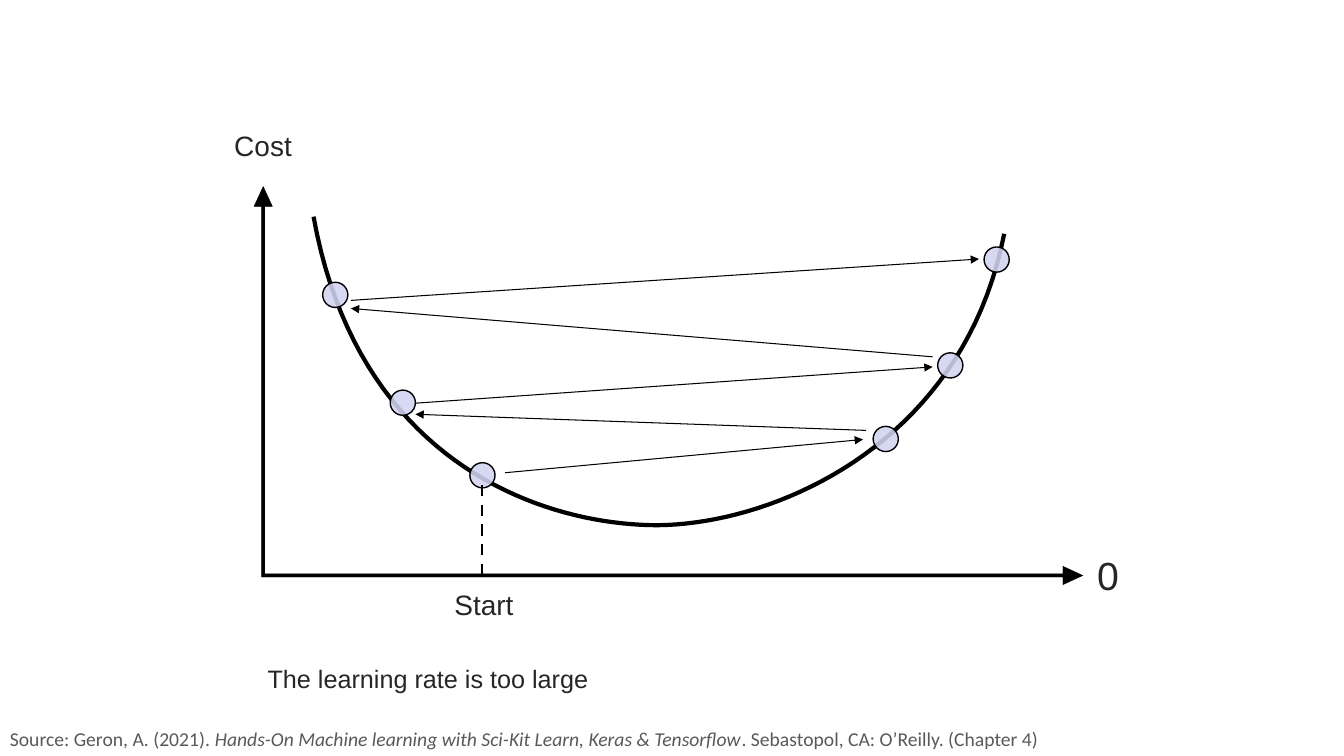
import lxml.etree
import pptx
import pptx.dml.color
import pptx.enum.dml
import pptx.enum.shapes
import pptx.enum.text
import pptx.oxml.ns
import pptx.util

PX = 9144  # EMU in one px, 100 px to the inch
WIDE, HIGH = 1333, 750
HEX = {"ink": "000000", "text": "262626", "source": "595959", "bead": "D2D3F1"}
SHAPE = pptx.enum.shapes.MSO_SHAPE
ALIGN = pptx.enum.text.PP_ALIGN
BEAD = 25
BEADS = [(68, 95), (135, 202), (214, 274), (724, 60), (678, 165), (614, 238)]
CURVE = [(59, 30), (102, 269), (278, 333), (392, 336),
         (506, 339), (702, 262), (744, 47)]
STEPS = [((249, 284), (604, 251)), ((607, 242), (160, 226)),
         ((160, 215), (673, 179)), ((673, 169), (96, 121)),
         ((96, 113), (719, 72))]
LABELS = [("Cost", 20, (-81, -59, 180, 71)),
          ("Start", 20, (138, 397, 180, 71)),
          ("The learning rate is too large", 18, (-61, 472, 467, 40)),
          ("0", 28, (757, 362, 180, 71))]


def emu(*sizes):
    return [round(size * PX) for size in sizes]


def rgb(name):
    return pptx.dml.color.RGBColor.from_string(HEX[name])


def add_tag(parent, name, **attrs):
    lxml.etree.SubElement(parent, pptx.oxml.ns.qn(name), attrs)


def set_line(shape, width):
    shape.line.color.rgb = rgb("ink")
    shape.line.width = pptx.util.Pt(width)


def add_form(slide, kind, box, fill, width):
    form = slide.shapes.add_shape(kind, *emu(*box))
    form.shadow.inherit = False
    form.fill.solid()
    form.fill.fore_color.rgb = rgb(fill)
    set_line(form, width)
    return form


def add_line(slide, start, end, width):
    kind = pptx.enum.shapes.MSO_CONNECTOR.STRAIGHT
    line = slide.shapes.add_connector(kind, *emu(*start, *end))
    set_line(line, width)
    add_tag(line.element.spPr, "a:effectLst")
    return line


def add_text(slide, box, runs, font, size, color, align):
    """Place one paragraph of (text, italic) runs."""
    frame = slide.shapes.add_textbox(*emu(*box)).text_frame
    frame.word_wrap = True
    para = frame.paragraphs[0]
    para.alignment = align
    para.font.name = font
    para.font.size = pptx.util.Pt(size)
    para.font.color.rgb = rgb(color)
    for text, slant in runs:
        run = para.add_run()
        run.text = text
        if slant:
            run.font.italic = True
    return para


def bezier(points, count=40):
    """Sample a chain of cubic curves, in EMU."""
    out = [tuple(emu(*points[0]))]
    for first in range(0, len(points) - 1, 3):
        part = points[first:first + 4]
        for step in range(1, count + 1):
            t = step / count
            u = 1 - t
            rates = (u ** 3, 3 * u * u * t, 3 * u * t * t, t ** 3)
            out.append(tuple(emu(*(sum(r * p[axis] for r, p in zip(rates, part))
                                   for axis in (0, 1)))))
    return out


def draw_cost(slide, left, top, wide, high):
    """Draw the cost curve and its steps; the box spans the axes."""
    def at(point):
        return left + point[0], top + point[1]

    axes = add_form(slide, SHAPE.LEFT_UP_ARROW, (left, top, wide, high), "ink", 0.25)
    axes.element.spPr.xfrm.set("flipH", "1")
    for spot, value in enumerate((0.008, 0.023, 0.05)):
        axes.adjustments[spot] = value

    points = bezier([at(point) for point in CURVE])
    pen = slide.shapes.build_freeform(*points[0], scale=1.0)
    pen.add_line_segments(points[1:], close=False)
    curve = pen.convert_to_shape()
    curve.shadow.inherit = False
    curve.fill.background()
    set_line(curve, 3)

    for spot in BEADS:
        bead = add_form(slide, SHAPE.OVAL, (*at(spot), BEAD, BEAD), "bead", 1)
        tint = bead.element.spPr.find(".//" + pptx.oxml.ns.qn("a:srgbClr"))
        add_tag(tint, "a:alpha", val="88000")

    drop = add_line(slide, at((226, 296)), at((226, 384)), 2)
    drop.line.dash_style = pptx.enum.dml.MSO_LINE.DASH

    for text, size, (x, y, w, h) in LABELS:
        para = add_text(slide, (*at((x, y)), w, h), [(text, False)],
                        "Arial", size, "text", ALIGN.CENTER)
        para.line_spacing = 0.9

    for start, end in STEPS:
        arrow = add_line(slide, at(start), at(end), 0.75)
        edge = arrow.element.spPr.find(pptx.oxml.ns.qn("a:ln"))
        add_tag(edge, "a:tailEnd", type="triangle")


def draw_source(slide, *box):
    runs = [("Source: Geron, A. (2021). ", False),
            ("Hands-On Machine learning with Sci-Kit Learn, Keras & Tensorflow", True),
            (". Sebastopol, CA: O’Reilly. (Chapter 4)", False)]
    add_text(slide, box, runs, "Calibri", 14, "source", ALIGN.LEFT)


def main():
    deck = pptx.Presentation()
    deck.slide_width, deck.slide_height = emu(WIDE, HIGH)
    slide = deck.slides.add_slide(deck.slide_layouts[6])
    draw_source(slide, 0, 716, WIDE, 34)
    draw_cost(slide, 252, 185, 822, 395)
    deck.save("out.pptx")


if __name__ == "__main__":
    main()
